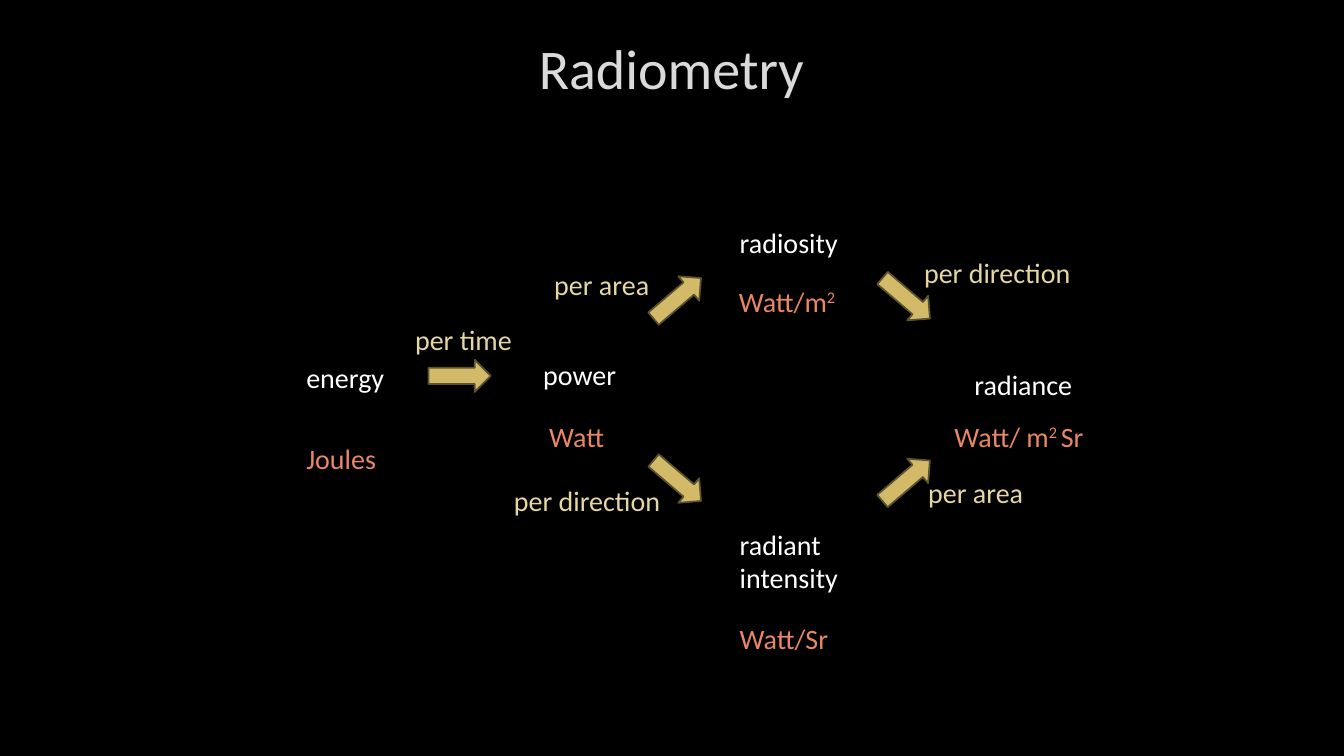
from pptx import Presentation
from pptx.dml.color import RGBColor
from pptx.enum.shapes import MSO_SHAPE
from pptx.enum.text import MSO_ANCHOR, MSO_AUTO_SIZE, PP_ALIGN
from pptx.util import Pt

BLACK = RGBColor(0x00, 0x00, 0x00)
WHITE = RGBColor(0xFF, 0xFF, 0xFF)
SILVER = RGBColor(0xDA, 0xDA, 0xDA)
CORAL = RGBColor(0xE9, 0x87, 0x64)
SAND = RGBColor(0xE5, 0xD6, 0xA4)
GOLD = RGBColor(0xD3, 0xBA, 0x68)
BROWN = RGBColor(0x5C, 0x52, 0x2E)
FONT = "Calibri"

# text, left, top, width
TERMS = [
    ("energy", 211.7, 254.2, 94.3),
    ("power", 380.9, 252, 71.3),
    ("radiosity", 521.3, 157.7, 94.3),
    ("radiant\nintensity", 521.3, 373, 94.3),
    ("radiance", 689, 259.2, 94.3),
]
# ^ switches superscript on and off
UNITS = [
    ("Joules", 211.7, 311.8, 94.3),
    ("Watt", 385.2, 295.9, 94.3),
    ("Watt/m^2", 520.6, 199.4, 94.3),
    ("Watt/Sr", 521.3, 440.6, 94.3),
    ("Watt/ m^2 ^Sr", 674.6, 295.9, 145.4),
]
STEPS = [
    ("per time", 289.4, 226.8, 94.3),
    ("per area", 388.8, 187.2, 94.3),
    ("per direction", 360, 342, 141.1),
    ("per area", 655.9, 336.2, 94.3),
    ("per direction", 653, 179.3, 141.1),
]
TILT = 40.5


def style(para, size, color):
    para.font.name = FONT
    para.font.size = Pt(size)
    para.font.color.rgb = color


def add_title(slide, text):
    title = slide.shapes.title
    title.left, title.top = Pt(72), Pt(10.1)
    title.width, title.height = Pt(815), Pt(76.3)
    frame = title.text_frame
    frame.text = text
    frame.vertical_anchor = MSO_ANCHOR.MIDDLE
    para = frame.paragraphs[0]
    para.alignment = PP_ALIGN.CENTER
    style(para, 40, SILVER)


def add_label(slide, text, left, top, width, color):
    lines = text.split("\n")
    height = 7.2 + 24.3 * len(lines)
    box = slide.shapes.add_textbox(Pt(left), Pt(top), Pt(width), Pt(height))
    frame = box.text_frame
    frame.word_wrap = True
    frame.auto_size = MSO_AUTO_SIZE.SHAPE_TO_FIT_TEXT
    for row, line in enumerate(lines):
        para = frame.add_paragraph() if row else frame.paragraphs[0]
        for part, words in enumerate(line.split("^")):
            run = para.add_run()
            run.text = words
            if part % 2:
                run.font._element.set("baseline", "30000")
        style(para, 20, color)


def add_arrow(slide, left, top, angle=0):
    arrow = slide.shapes.add_shape(
        MSO_SHAPE.RIGHT_ARROW, Pt(left), Pt(top), Pt(44.6), Pt(23))
    arrow.rotation = angle
    arrow.shadow.inherit = False
    arrow.fill.solid()
    arrow.fill.fore_color.rgb = GOLD
    arrow.line.color.rgb = BROWN
    arrow.line.width = Pt(1.25)


def main():
    deck = Presentation()
    deck.slide_width, deck.slide_height = Pt(960), Pt(540)
    slide = deck.slides.add_slide(deck.slide_layouts[5])
    slide.background.fill.solid()
    slide.background.fill.fore_color.rgb = BLACK

    add_title(slide, "Radiometry")
    add_arrow(slide, 306, 257)
    for col, left in enumerate((461.5, 625)):
        for row, top in enumerate((201.6, 331.9)):
            add_arrow(slide, left, top, TILT if col != row else 360 - TILT)
    for labels, color in ((TERMS, WHITE), (UNITS, CORAL), (STEPS, SAND)):
        for label in labels:
            add_label(slide, *label, color)
    deck.save("out.pptx")


if __name__ == "__main__":
    main()
